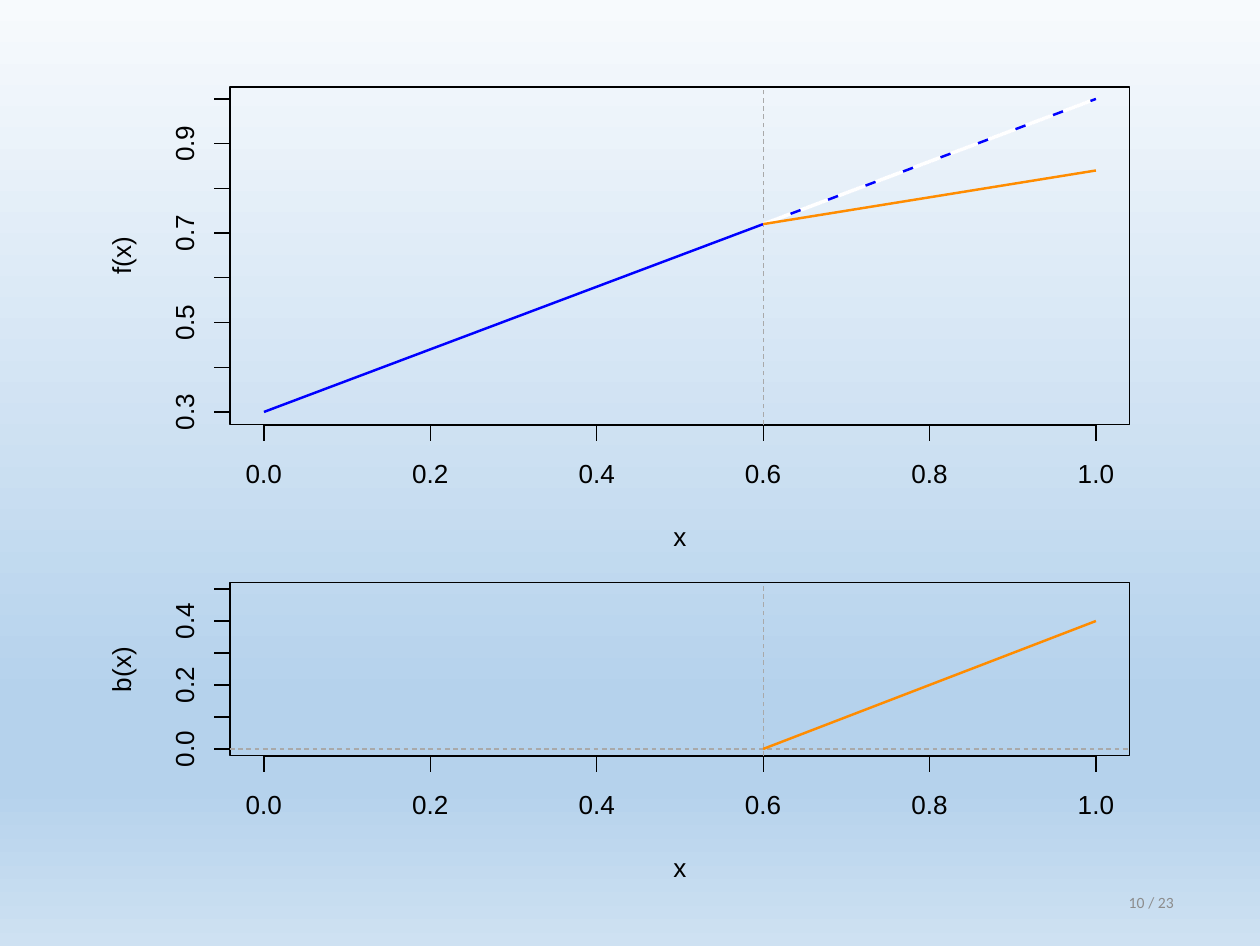
"""Build a slide with a piecewise linear function above its hinge basis function."""
import copy
import dataclasses
import typing

import pptx
import pptx.dml.color
import pptx.enum.dml
import pptx.enum.shapes
import pptx.enum.text
import pptx.oxml.ns
import pptx.slide
import pptx.util
from lxml import etree

RGBColor = pptx.dml.color.RGBColor
Align = pptx.enum.text.PP_ALIGN
Anchor = pptx.enum.text.MSO_ANCHOR
Dash = pptx.enum.dml.MSO_LINE

BLACK = RGBColor(0x00, 0x00, 0x00)
WHITE = RGBColor(0xFF, 0xFF, 0xFF)
BLUE = RGBColor(0x00, 0x00, 0xFF)
ORANGE = RGBColor(0xFF, 0x8C, 0x00)
GUIDE_GRAY = RGBColor(0xA9, 0xA9, 0xA9)
FOOTER_GRAY = RGBColor(0x8C, 0x8C, 0x8C)
PALE = RGBColor(0xF7, 0xFA, 0xFD)
SKY = RGBColor(0xB5, 0xD2, 0xEC)
MIST = RGBColor(0xCE, 0xE1, 0xF2)
BACKDROP = [(0, PALE), (0.74, SKY), (0.83, SKY), (1, MIST)]

EMU_PER_PIXEL = 914400 / 250
SLIDE_WIDTH, SLIDE_HEIGHT = 1260, 946
FRAME_LEFT, FRAME_RIGHT = 230, 1130
X_ZERO, X_ONE = 264, 1096
X_TICKS = [step / 5 for step in range(6)]
KNOT = 0.6
TICK = 16
LABEL_HEIGHT, LABEL_WIDTH = 33, 60
THIN, CURVE, WIDE = 0.35, 0.71, 1.06


@dataclasses.dataclass
class Curve:
    start: tuple[float, float]
    end: tuple[float, float]
    color: RGBColor
    width: float = CURVE
    dash: typing.Any = None


@dataclasses.dataclass
class Panel:
    title: str
    top: int
    bottom: int
    low: float
    low_pixel: int
    high: float
    high_pixel: int
    curves: list[Curve]
    zero_line: bool = False

    def y(self, value: float) -> float:
        share = (value - self.low) / (self.high - self.low)
        return self.low_pixel + share * (self.high_pixel - self.low_pixel)

    def y_ticks(self) -> list[float]:
        count = round((self.high - self.low) * 10)
        return [self.low + step / 10 for step in range(count + 1)]


PANELS = [
    Panel("f(x)", 87, 425, 0.3, 412, 1.0, 99, [
        Curve((0, 0.3), (1, 1), BLUE),
        Curve((KNOT, 0.72), (1, 1), WHITE, WIDE, Dash.LONG_DASH),
        Curve((KNOT, 0.72), (1, 0.84), ORANGE),
    ]),
    Panel("b(x)", 583, 756, 0.0, 749, 0.5, 589, [
        Curve((KNOT, 0), (1, 0.4), ORANGE),
    ], zero_line=True),
]


def px(pixels: float) -> int:
    return round(pixels * EMU_PER_PIXEL)


def x_pixel(value: float) -> float:
    return X_ZERO + value * (X_ONE - X_ZERO)


def add_text(page: pptx.slide.Slide, text: str, left: float, top: float,
             width: int, height: int, *,
             size: float = 7.5, font: str = "Arial", color: RGBColor = BLACK,
             align: typing.Any = Align.CENTER, anchor: typing.Any = Anchor.TOP,
             upward: bool = False) -> None:
    box = page.shapes.add_textbox(px(left), px(top), px(width), px(height))
    frame = box.text_frame
    frame.word_wrap = True
    frame.vertical_anchor = anchor
    frame.margin_left = frame.margin_right = frame.margin_top = frame.margin_bottom = 0
    if upward:
        box.element.txBody.bodyPr.set("vert", "vert270")
    para = frame.paragraphs[0]
    para.alignment = align
    span = para.add_run()
    span.text = text
    span.font.size = pptx.util.Pt(size)
    span.font.name = font
    span.font.color.rgb = color


def add_across(page: pptx.slide.Slide, text: str, center: float, top: float) -> None:
    add_text(page, text, center - LABEL_WIDTH / 2, top, LABEL_WIDTH, LABEL_HEIGHT)


def add_upward(page: pptx.slide.Slide, text: str, left: float, center: float) -> None:
    add_text(page, text, left, center - LABEL_WIDTH / 2, LABEL_HEIGHT, LABEL_WIDTH, upward=True)


def add_line(page: pptx.slide.Slide, start: tuple[float, float], end: tuple[float, float],
             color: RGBColor = BLACK, width: float = THIN, dash: typing.Any = None) -> None:
    line = page.shapes.add_connector(
        pptx.enum.shapes.MSO_CONNECTOR.STRAIGHT, *map(px, start + end))
    line.line.color.rgb = color
    line.line.width = pptx.util.Pt(width)
    if dash is not None:
        line.line.dash_style = dash
    etree.SubElement(line.element.spPr, pptx.oxml.ns.qn("a:effectLst"))


def add_frame(page: pptx.slide.Slide, panel: Panel) -> None:
    frame = page.shapes.add_shape(
        pptx.enum.shapes.MSO_SHAPE.RECTANGLE, px(FRAME_LEFT), px(panel.top),
        px(FRAME_RIGHT - FRAME_LEFT), px(panel.bottom - panel.top))
    frame.shadow.inherit = False
    frame.fill.background()
    frame.line.color.rgb = BLACK
    frame.line.width = pptx.util.Pt(THIN)


def draw_axes(page: pptx.slide.Slide, panel: Panel) -> None:
    bottom = panel.bottom
    add_line(page, (X_ZERO, bottom), (X_ONE, bottom))
    for value in X_TICKS:
        x = x_pixel(value)
        add_line(page, (x, bottom), (x, bottom + TICK))
        add_across(page, f"{value:.1f}", x, bottom + 32)
    add_line(page, (FRAME_LEFT, panel.low_pixel), (FRAME_LEFT, panel.high_pixel))
    for index, value in enumerate(panel.y_ticks()):
        y = panel.y(value)
        add_line(page, (FRAME_LEFT, y), (FRAME_LEFT - TICK, y))
        if index % 2 == 0:
            add_upward(page, f"{value:.1f}", 168, y)
    add_across(page, "x", (FRAME_LEFT + FRAME_RIGHT) / 2, bottom + 95)
    add_upward(page, panel.title, 105, (panel.top + bottom) / 2)


def draw_panel(page: pptx.slide.Slide, panel: Panel) -> None:
    draw_axes(page, panel)
    add_frame(page, panel)
    if panel.zero_line:
        zero = panel.y(0)
        add_line(page, (FRAME_LEFT, zero), (FRAME_RIGHT, zero), GUIDE_GRAY, dash=Dash.DASH)
    knot = x_pixel(KNOT)
    add_line(page, (knot, panel.bottom), (knot, panel.top), GUIDE_GRAY, dash=Dash.DASH)
    for curve in panel.curves:
        start, end = ((x_pixel(x), panel.y(y)) for x, y in (curve.start, curve.end))
        add_line(page, start, end, curve.color, curve.width, curve.dash)


def paint_background(page: pptx.slide.Slide) -> None:
    fill = page.background.fill
    fill.gradient()
    fill.gradient_angle = 270
    stops = next(page.element.iter(pptx.oxml.ns.qn("a:gsLst")))
    for _ in range(len(BACKDROP) - len(stops)):
        stops.append(copy.deepcopy(stops[0]))
    for stop, (position, color) in zip(fill.gradient_stops, BACKDROP):
        stop.position = position
        stop.color.rgb = color


deck = pptx.Presentation()
deck.slide_width, deck.slide_height = px(SLIDE_WIDTH), px(SLIDE_HEIGHT)
page = deck.slides.add_slide(deck.slide_layouts[6])
paint_background(page)
for panel in PANELS:
    draw_panel(page, panel)
add_text(page, "10 / 23", 891, 877, 283, 50, size=4.5, font="Calibri",
         color=FOOTER_GRAY, align=Align.RIGHT, anchor=Anchor.MIDDLE)
deck.save("out.pptx")
